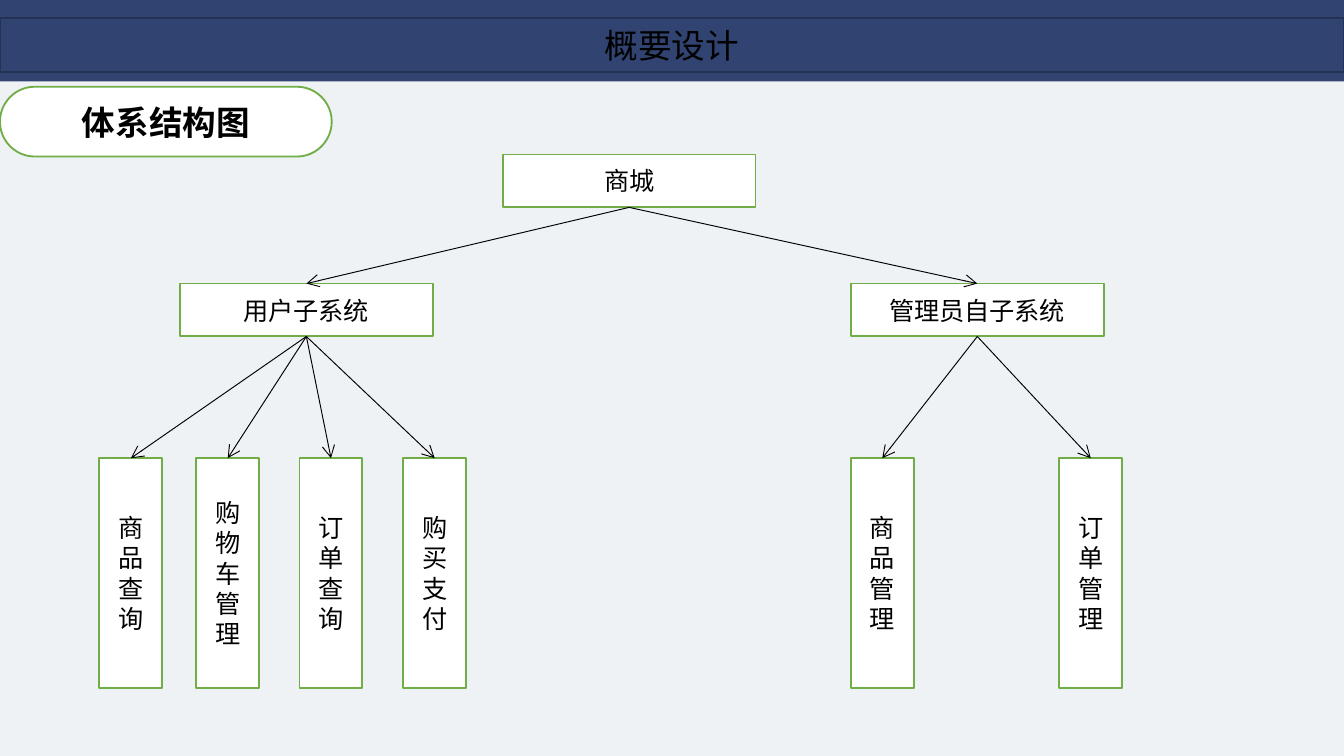
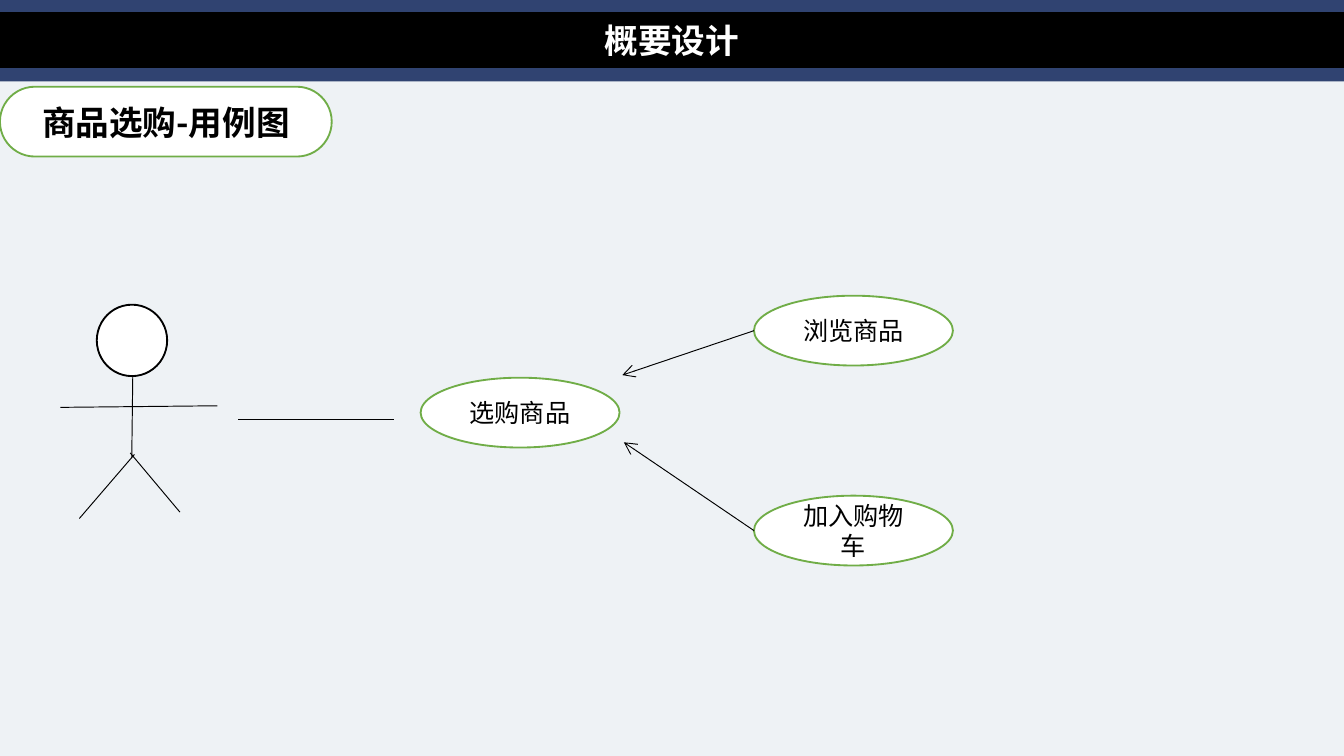
from dataclasses import dataclass

from lxml.etree import SubElement
from pptx import Presentation
from pptx.dml.color import RGBColor
from pptx.enum.shapes import MSO_CONNECTOR as Connector, MSO_SHAPE as Shape
from pptx.enum.text import MSO_ANCHOR as Anchor, MSO_AUTO_SIZE as AutoSize, PP_ALIGN as Align
from pptx.oxml.ns import qn
from pptx.util import Cm, Pt


@dataclass(frozen=True)
class Theme:
    """Colours, fonts and type sizes of the deck."""
    paper: str = "EEF2F5"
    band: str = "304371"
    band_edge: str = "243254"
    accent: str = "70AD47"
    ink: str = "000000"
    white: str = "FFFFFF"
    title_font: str = "Noto Sans CJK SC"
    body_font: str = "Calibri"
    title_size: float = 18
    body_size: float = 13.5
    edge: float = 1
    thin: float = 0.5


THEME = Theme()

# Content; all lengths are in centimetres.
SLIDE_WIDTH, SLIDE_HEIGHT = 25.4, 14.29
BAND_HEIGHT, TITLE_HEIGHT = 1.54, 1.02
TAG_AREA = (0, 1.64, 6.27, 1.32)
TITLE = "概要设计"

STRUCTURE = {
    "tag": "体系结构图",
    "title": dict(top=0.34, fill=THEME.band, line=THEME.band_edge, color=THEME.ink, bold=False),
}
ROOT = ("商城", 9.5)
SUBSYSTEMS = [  # name, left, modules as (name, left)
    ("用户子系统", 3.4,
     [("商品查询", 1.88), ("购物车管理", 3.71), ("订单查询", 5.66), ("购买支付", 7.62)]),
    ("管理员自子系统", 16.08, [("商品管理", 16.08), ("订单管理", 20.02)]),
]
SYSTEM_SIZE, MODULE_SIZE = (4.78, 1.0), (1.19, 4.34)
ROOT_TOP, SUBSYSTEM_TOP, MODULE_TOP = 2.92, 5.36, 8.66

USE_CASES = {
    "tag": "商品选购-用例图",
    "title": dict(top=0.25, fill=THEME.ink, line=THEME.ink, color=THEME.white, bold=True),
}
CASE_SIZE = (3.76, 1.32)
MAIN_CASE = ("选购商品", 7.95, 7.14)
SUB_CASES = [  # name, left, top, arrow tip
    ("加入购物车", 14.25, 9.37, (11.79, 8.36)),
    ("浏览商品", 14.25, 5.59, (11.76, 7.09)),
]
ACTOR_HEAD = (1.83, 5.76, 1.33, 1.35)
ACTOR_LINES = {
    "arms": ((1.14, 7.7), (4.11, 7.67)),
    "body": ((2.51, 7.11), (2.49, 8.66)),
    "left leg": ((2.54, 8.59), (1.5, 9.8)),
    "right leg": ((2.46, 8.56), (3.4, 9.68)),
}
ASSOCIATION = ((4.5, 7.92), (7.44, 7.92))


def assign(target, values):
    """Set every attribute named in values."""
    for name, value in values.items():
        setattr(target, name, value)


def add_box(page, kind, area, fill=THEME.white, line=THEME.accent):
    """Draw a filled preset shape; line None means no outline."""
    box = page.shapes.add_shape(kind, *map(Cm, area))
    box.shadow.inherit = False
    box.fill.solid()
    box.fill.fore_color.rgb = RGBColor.from_string(fill)
    if line:
        box.line.color.rgb = RGBColor.from_string(line)
        box.line.width = Pt(THEME.edge)
    else:
        box.line.fill.background()
    return box


def write(box, text, size=THEME.body_size, font=THEME.body_font, color=THEME.ink,
          bold=False, anchor=Anchor.MIDDLE):
    """Put one centred line of text into a box."""
    assign(box.text_frame, {"word_wrap": True, "vertical_anchor": anchor})
    para = box.text_frame.paragraphs[0]
    para.alignment = Align.CENTER
    span = para.add_run()
    span.text = text
    assign(span.font, {"size": Pt(size), "name": font, "bold": bold})
    span.font.color.rgb = RGBColor.from_string(color)


def add_line(page, start, end, arrow=False):
    """Draw a thin line, with an open arrowhead at its end if asked."""
    line = page.shapes.add_connector(Connector.STRAIGHT, *map(Cm, (*start, *end)))
    line.line.color.rgb = RGBColor.from_string(THEME.ink)
    line.line.width = Pt(THEME.thin)
    properties = line.element.spPr
    if arrow:
        SubElement(properties.find(qn("a:ln")), qn("a:tailEnd"), type="arrow")
    SubElement(properties, qn("a:effectLst"))


def style_master(deck, page):
    """Give the master its background and the band behind the titles."""
    master = deck.slide_master
    master.background.fill.solid()
    master.background.fill.fore_color.rgb = RGBColor.from_string(THEME.paper)
    band = add_box(page, Shape.RECTANGLE, (0, 0, SLIDE_WIDTH, BAND_HEIGHT), THEME.band, None)
    band.element.nvSpPr.cNvPr.set("id", "99")
    master.element.cSld.spTree.insert(2, band.element)


def add_header(page, tag, title):
    """Draw the title bar and the rounded section tag."""
    bar = add_box(page, Shape.RECTANGLE, (0, title["top"], SLIDE_WIDTH, TITLE_HEIGHT),
                  title["fill"], title["line"])
    write(bar, TITLE, THEME.title_size, THEME.title_font, title["color"], title["bold"],
          Anchor.TOP)
    bar.text_frame.auto_size = AutoSize.SHAPE_TO_FIT_TEXT
    pill = add_box(page, Shape.ROUNDED_RECTANGLE, TAG_AREA)
    pill.adjustments[0] = 0.5
    write(pill, tag, THEME.title_size, THEME.title_font, bold=True)


def add_node(page, name, left, top, size):
    """Draw a tree node; return its top and bottom centre points."""
    width, height = size
    write(add_box(page, Shape.RECTANGLE, (left, top, width, height)), name)
    middle = left + width / 2
    return (middle, top), (middle, top + height)


def draw_structure(page):
    """Draw the system tree with an arrow from each parent to each child."""
    arrows = []
    _, root_foot = add_node(page, *ROOT, ROOT_TOP, SYSTEM_SIZE)
    for name, left, modules in SUBSYSTEMS:
        head, foot = add_node(page, name, left, SUBSYSTEM_TOP, SYSTEM_SIZE)
        arrows.append((root_foot, head))
        for module, module_left in modules:
            module_head, _ = add_node(page, module, module_left, MODULE_TOP, MODULE_SIZE)
            arrows.append((foot, module_head))
    for start, end in arrows:
        add_line(page, start, end, arrow=True)


def add_case(page, name, left, top):
    """Draw one use case as an ellipse."""
    write(add_box(page, Shape.OVAL, (left, top, *CASE_SIZE)), name)


def draw_use_cases(page):
    """Draw the actor, the main use case and the cases that lead to it."""
    add_case(page, *MAIN_CASE)
    add_box(page, Shape.OVAL, ACTOR_HEAD, line=THEME.ink)
    for start, end in (*ACTOR_LINES.values(), ASSOCIATION):
        add_line(page, start, end)
    for name, left, top, tip in SUB_CASES:
        add_case(page, name, left, top)
        add_line(page, (left, top + CASE_SIZE[1] / 2), tip, arrow=True)


def main():
    """Build and save the deck."""
    deck = Presentation()
    assign(deck, {"slide_width": Cm(SLIDE_WIDTH), "slide_height": Cm(SLIDE_HEIGHT)})
    blank = deck.slide_layouts[6]
    pages = [(STRUCTURE, draw_structure), (USE_CASES, draw_use_cases)]
    for number, (header, draw) in enumerate(pages):
        page = deck.slides.add_slide(blank)
        if number == 0:
            style_master(deck, page)
        add_header(page, **header)
        draw(page)
    deck.save("out.pptx")


main()
